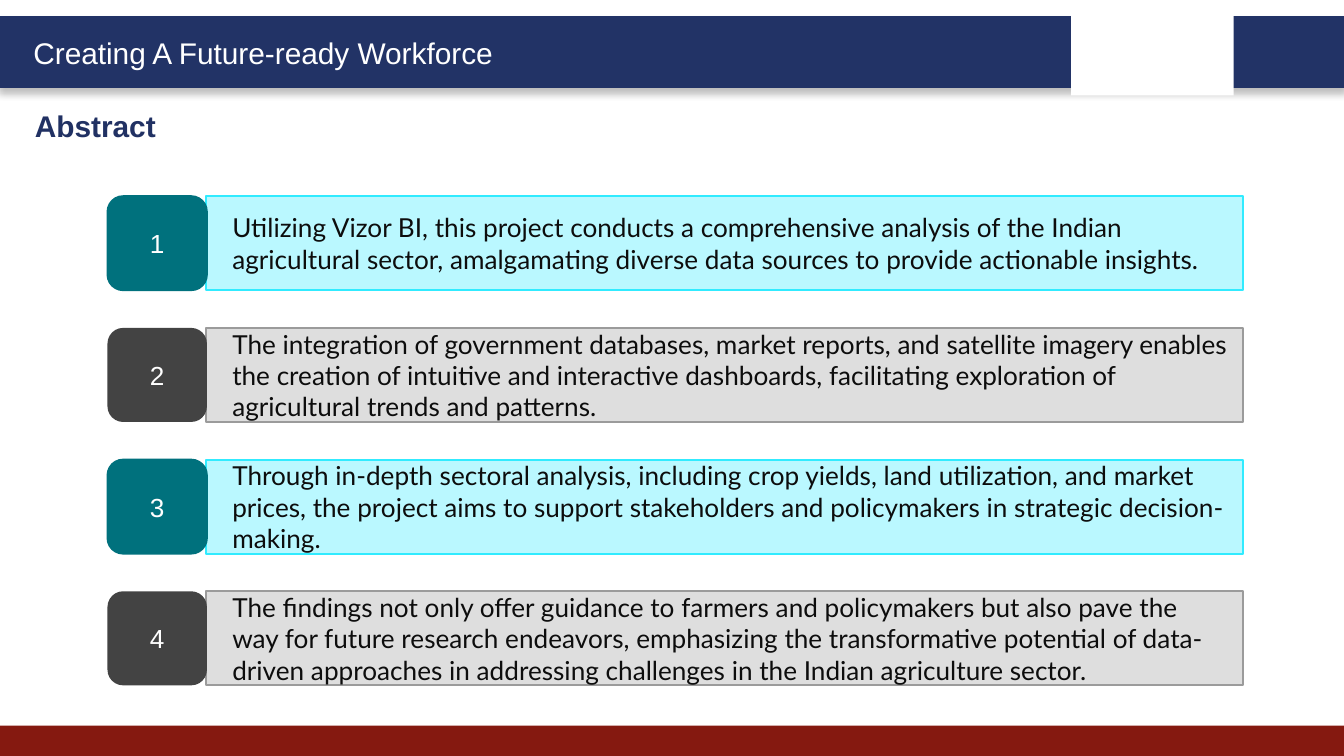
"""Build the abstract slide: a banner, a heading and four numbered points."""
from lxml import etree
from pptx import Presentation
from pptx.dml.color import RGBColor
from pptx.enum.shapes import MSO_SHAPE
from pptx.enum.text import MSO_ANCHOR, MSO_AUTO_SIZE, PP_ALIGN
from pptx.oxml.ns import qn
from pptx.util import Inches, Pt

RECT, ROUND = MSO_SHAPE.RECTANGLE, MSO_SHAPE.ROUNDED_RECTANGLE
LEFT, CENTER = PP_ALIGN.LEFT, PP_ALIGN.CENTER
TOP, MIDDLE = MSO_ANCHOR.TOP, MSO_ANCHOR.MIDDLE
NO_FIT = MSO_AUTO_SIZE.NONE

WHITE = RGBColor(0xFF, 0xFF, 0xFF)
NAVY = RGBColor(0x22, 0x33, 0x66)
INK = RGBColor(0x21, 0x31, 0x63)
MAROON = RGBColor(0x85, 0x19, 0x10)
BLACK = RGBColor(0x0D, 0x0D, 0x0D)
TEAL = RGBColor(0x00, 0x71, 0x7D)
AQUA = RGBColor(0xBA, 0xF8, 0xFF)
CYAN = RGBColor(0x31, 0xEB, 0xFF)
DARK = RGBColor(0x43, 0x43, 0x43)
PALE = RGBColor(0xDE, 0xDE, 0xDE)
GRAY = RGBColor(0x9B, 0x9B, 0x9B)

BANNER = "Creating A Future-ready Workforce"
HEADING = "Abstract"
POINTS = [
    "Utilizing Vizor BI, this project conducts a comprehensive analysis of the "
    "Indian agricultural sector, amalgamating diverse data sources to provide "
    "actionable insights.",
    "The integration of government databases, market reports, and satellite "
    "imagery enables the creation of intuitive and interactive dashboards, "
    "facilitating exploration of agricultural trends and patterns.",
    "Through in-depth sectoral analysis, including crop yields, land utilization, "
    "and market prices, the project aims to support stakeholders and policymakers "
    "in strategic decision-making.",
    "The findings not only offer guidance to farmers and policymakers but also "
    "pave the way for future research endeavors, emphasizing the transformative "
    "potential of data-driven approaches in addressing challenges in the Indian "
    "agriculture sector.",
]
THEMES = [
    {"badge": TEAL, "edge": TEAL, "panel": AQUA, "rim": CYAN},
    {"badge": DARK, "edge": None, "panel": PALE, "rim": GRAY},
]
WIDE = Inches(10)
HIGH = WIDE * 9 // 16
FIRST, STEP, TALL = 1.46, 0.98, 0.7


def write(shape, text, size=14, font="Arial", color=WHITE, bold=False,
          align=LEFT, anchor=MIDDLE, indent=0):
    frame = shape.text_frame
    frame.word_wrap = True
    frame.auto_size = NO_FIT
    frame.vertical_anchor = anchor
    para = frame.paragraphs[0]
    para.alignment = align
    if indent:
        para._p.get_or_add_pPr().set("marL", str(Inches(indent)))
    run = para.add_run()
    run.text = text
    run.font.size = Pt(size)
    run.font.name = font
    run.font.bold = bold
    run.font.color.rgb = color


def draw(slide, kind, box, fill, line=None, width=1):
    shape = slide.shapes.add_shape(kind, *map(Inches, box))
    shape.shadow.inherit = False
    shape.fill.solid()
    shape.fill.fore_color.rgb = fill
    if line is None:
        shape.line.fill.background()
    else:
        shape.line.color.rgb = line
        shape.line.width = Pt(width)
    return shape


def shade(shape, blur, dist, alpha):
    effects = shape._element.spPr.find(qn("a:effectLst"))
    outer = etree.SubElement(
        effects, qn("a:outerShdw"), blurRad=str(Pt(blur)), dist=str(Pt(dist)),
        dir="5400000", algn="t", rotWithShape="0")
    color = etree.SubElement(outer, qn("a:srgbClr"), val="000000")
    etree.SubElement(color, qn("a:alpha"), val=str(alpha * 1000))


def main():
    deck = Presentation()
    deck.slide_width, deck.slide_height = WIDE, HIGH
    slide = deck.slides.add_slide(deck.slide_layouts[5])

    bar = draw(slide, RECT, (0, 0.13, 10, 0.51), NAVY, NAVY, 2)
    shade(bar, blur=4, dist=3, alpha=25)
    draw(slide, RECT, (0, 5.4, 10, 0.23), MAROON)
    draw(slide, RECT, (7.97, 0.07, 1.21, 0.64), WHITE)

    label = slide.shapes.add_textbox(*map(Inches, (0.15, 0.21, 3.78, 0.37)))
    write(label, BANNER, size=16, anchor=TOP)

    title = slide.shapes.title
    title.left, title.top, title.width, title.height = map(
        Inches, (0.16, 0.75, 4.84, 0.37))
    write(title, HEADING, size=16, color=INK, bold=True, anchor=TOP)

    for row, text in enumerate(POINTS):
        theme = THEMES[row % len(THEMES)]
        top = FIRST + row * STEP
        panel = draw(slide, RECT, (1.53, top, 7.72, TALL),
                     theme["panel"], theme["rim"])
        write(panel, text, font="Lato", color=BLACK, indent=0.1)
        badge = draw(slide, ROUND, (0.8, top, 0.74, TALL),
                     theme["badge"], theme["edge"])
        write(badge, str(row + 1), align=CENTER)

    deck.save("out.pptx")


if __name__ == "__main__":
    main()
